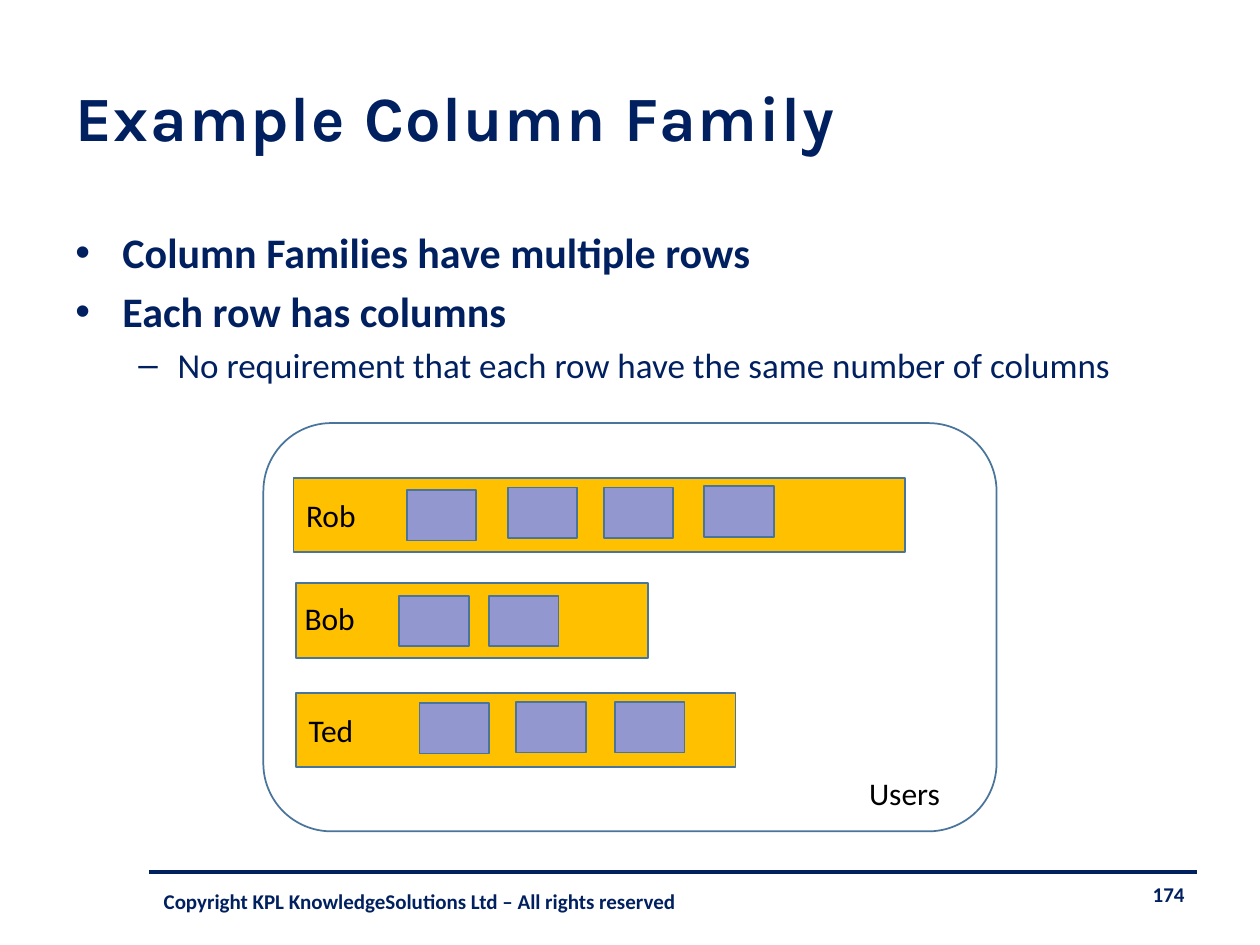
from lxml.etree import SubElement as Sub
from pptx import Presentation
from pptx.dml.color import RGBColor as Rgb
from pptx.enum.shapes import MSO_CONNECTOR as Link, MSO_SHAPE as Kind
from pptx.enum.text import MSO_ANCHOR as Anchor, PP_ALIGN as Align
from pptx.oxml.ns import qn
from pptx.util import Cm, Pt

HUES = {"navy": "002060", "edge": "49749B", "row": "FFC000",
        "cell": "9297CF", "black": "000000"}

# name, label (left, top, width), bar (left, top, width), cells (left, top)
ROWS = [
    ("Rob", (5.92, 9.88, 1.52), (5.92, 9.63, 12.32),
     [(8.2, 9.88), (10.24, 9.83), (12.17, 9.83), (14.2, 9.8)]),
    ("Bob", (5.89, 11.96, 1.55), (5.97, 11.76, 7.09),
     [(8.05, 12.01), (9.86, 12.01)]),
    ("Ted", (5.97, 14.2, 1.42), (5.97, 13.97, 8.86),
     [(8.46, 14.17), (10.41, 14.15), (12.4, 14.15)]),
]

# text, size, bold, bullet, indent, hang, space before
POINTS = [
    ("Column Families have multiple rows", 24, True, "•", 0.95, 0.95, 0),
    ("Each row has columns", 24, True, "•", 0.95, 0.95, 4.8),
    ("No requirement that each row have the same number of columns",
     20, False, "–", 2.06, 0.79, 4),
]


def tint(name):
    return Rgb.from_string(HUES[name])


def write(para, text, size=18, hue="black", bold=False, face="Calibri",
          align=Align.LEFT, gap=0, track=0):
    """Add a run to the paragraph; gap and track are in points."""
    para.alignment = align
    para.space_before = Pt(gap)
    run = para.add_run()
    run.text = text
    font = run.font
    font.name, font.size, font.bold = face, Pt(size), bold
    font.color.rgb = tint(hue)
    if track:
        font._element.set("spc", str(track * 100))


def mark(para, sign, indent, hang):
    """Give the paragraph a bullet with a hanging indent."""
    props = para._p.get_or_add_pPr()
    props.set("marL", str(Cm(indent)))
    props.set("indent", str(-Cm(hang)))
    Sub(props, qn("a:buFont"), typeface="Arial")
    Sub(props, qn("a:buChar"), char=sign)


class Page:
    def __init__(self, slide):
        self.items = slide.shapes

    def frame(self, x, y, w, h, anchor=Anchor.TOP, wrap=True):
        box = self.items.add_textbox(Cm(x), Cm(y), Cm(w), Cm(h)).text_frame
        box.word_wrap = wrap
        box.vertical_anchor = anchor
        return box

    def text(self, words, x, y, w, h=1.02, anchor=Anchor.TOP, wrap=True,
             **style):
        box = self.frame(x, y, w, h, anchor, wrap)
        write(box.paragraphs[0], words, **style)

    def list(self, points, x, y, w, h):
        box = self.frame(x, y, w, h)
        for i, (words, size, bold, sign, indent, hang, gap) in enumerate(points):
            para = box.add_paragraph() if i else box.paragraphs[0]
            mark(para, sign, indent, hang)
            write(para, words, size=size, hue="navy", bold=bold, gap=gap)

    def shape(self, x, y, w, h, fill=None, kind=Kind.RECTANGLE):
        item = self.items.add_shape(kind, Cm(x), Cm(y), Cm(w), Cm(h))
        item.shadow.inherit = False
        if fill:
            item.fill.solid()
            item.fill.fore_color.rgb = tint(fill)
        else:
            item.fill.background()
        item.line.color.rgb = tint("edge")
        item.line.width = Pt(1)

    def rule(self, x, y, end):
        line = self.items.add_connector(Link.STRAIGHT, Cm(x), Cm(y),
                                        Cm(end), Cm(y))
        line.line.color.rgb = tint("navy")
        line.line.width = Pt(2.25)
        Sub(line._element.spPr, qn("a:effectLst"))

    def row(self, name, label, bar, cells):
        self.shape(*bar, 1.5, fill="row")
        self.text(name, *label, wrap=False)
        for x, y in cells:
            self.shape(x, y, 1.4, 1.02, fill="cell")


def main():
    deck = Presentation()
    deck.slide_width, deck.slide_height = Cm(25.4), Cm(19.05)
    page = Page(deck.slides.add_slide(deck.slide_layouts[6]))

    page.rule(3, 17.58, 24.13)
    page.text("Example Column Family", 1.27, 0.74, 23.04, 3.2, size=36,
              face="Karla", hue="navy", bold=True, track=1,
              anchor=Anchor.MIDDLE)
    page.list(POINTS, 1.27, 4.45, 22.86, 12.7)

    page.shape(5.31, 8.53, 14.78, 8.23, kind=Kind.ROUNDED_RECTANGLE)
    page.text("Users", 17.27, 15.47, 2.08)
    for row in ROWS:
        page.row(*row)

    foot = {"size": 12, "hue": "navy", "bold": True}
    page.text("174", 16.71, 17.65, 7.42, align=Align.RIGHT, **foot)
    page.text("Copyright KPL KnowledgeSolutions Ltd – All rights reserved",
              3.05, 17.65, 13.28, anchor=Anchor.MIDDLE, **foot)
    deck.save("out.pptx")


if __name__ == "__main__":
    main()
